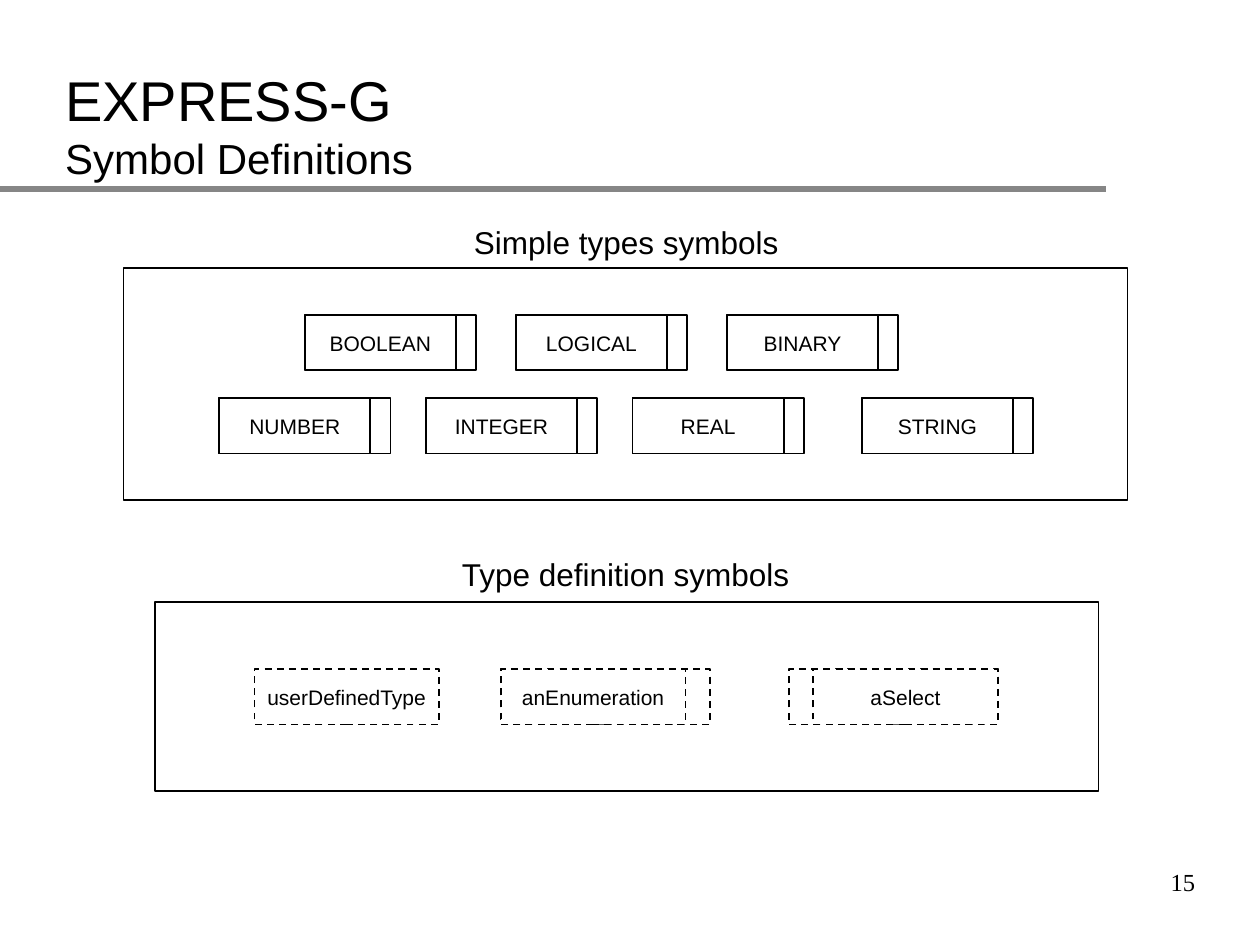
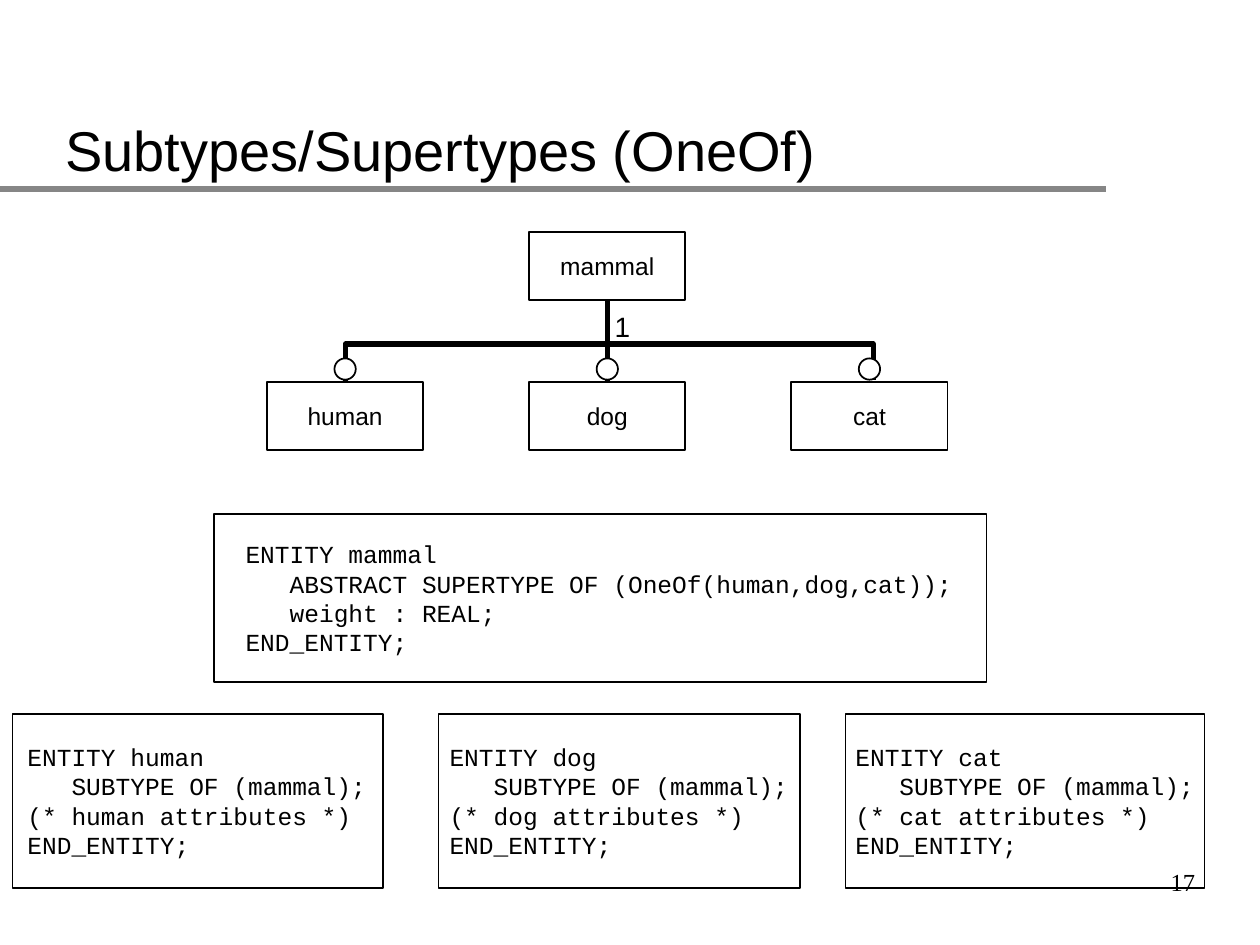
"""Builds two slides on EXPRESS-G symbols and on subtypes and supertypes."""
from dataclasses import dataclass
from typing import NamedTuple, Optional

from lxml import etree
from pptx import Presentation
from pptx.dml.color import RGBColor
from pptx.enum.dml import MSO_LINE
from pptx.enum.shapes import MSO_CONNECTOR, MSO_SHAPE
from pptx.enum.text import MSO_ANCHOR, PP_ALIGN
from pptx.oxml.ns import qn
from pptx.shapes.autoshape import Shape
from pptx.slide import Slide
from pptx.util import Pt

BLACK = RGBColor(0x00, 0x00, 0x00)
WHITE = RGBColor(0xFF, 0xFF, 0xFF)
GREY = RGBColor(0x86, 0x86, 0x86)

SANS = "Arial"
CODE = "Courier New"
SERIF = "Times New Roman"

LEFT, CENTER, RIGHT = PP_ALIGN.LEFT, PP_ALIGN.CENTER, PP_ALIGN.RIGHT
TOP, MIDDLE, BOTTOM = MSO_ANCHOR.TOP, MSO_ANCHOR.MIDDLE, MSO_ANCHOR.BOTTOM
RECT, OVAL = MSO_SHAPE.RECTANGLE, MSO_SHAPE.OVAL
STRAIGHT = MSO_CONNECTOR.STRAIGHT
DASH = MSO_LINE.DASH
BLANK = 6

SYMBOL_H = 31.7
ENTITY_W, ENTITY_H = 89.3, 38.9
CIRCLE = 12.2


class Box(NamedTuple):
    """Left, top, width and height in points."""
    left: float
    top: float
    width: float
    height: float


@dataclass
class Style:
    """Font, size and placing of a text."""
    size: float
    font: str = SANS
    align: PP_ALIGN = LEFT
    anchor: MSO_ANCHOR = TOP
    wrap: bool = False


@dataclass
class Symbol:
    """An EXPRESS-G symbol: a named box with an optional strip beside it."""
    name: str
    left: float
    top: float
    width: float = 86.4
    strip: float = 11.5
    strip_first: bool = False
    dash: Optional[MSO_LINE] = None


@dataclass
class Listing:
    """A framed piece of code."""
    frame: Box
    text: Box
    code: str


TITLE = Style(32, anchor=BOTTOM, wrap=True)
CAPTION = Style(18, align=CENTER)
SYMBOL_NAME = Style(12, align=CENTER, anchor=MIDDLE)
ENTITY_NAME = Style(14, align=CENTER, anchor=MIDDLE)
MARK = Style(16)
CODE_TEXT = Style(14, font=CODE)
PAGE_NUMBER = Style(14, font=SERIF, align=RIGHT, anchor=MIDDLE, wrap=True)

SIMPLE_TYPES = [
    *(Symbol(name, 174.2 + 120.6 * i, 180)
      for i, name in enumerate(("BOOLEAN", "LOGICAL", "BINARY"))),
    *(Symbol(name, 125.3 + 118.1 * i, 227.5)
      for i, name in enumerate(("NUMBER", "INTEGER", "REAL"))),
    Symbol("STRING", 492.5, 227.5),
]
TYPE_DEFINITIONS = [
    Symbol("userDefinedType", 145.4, 382.3, 105.5, 0, dash=DASH),
    Symbol("anEnumeration", 286.2, 382.3, 105.5, 14, dash=DASH),
    Symbol("aSelect", 450.7, 382.3, 105.5, 14, strip_first=True, dash=DASH),
]

SUPERTYPE_CODE = """ENTITY mammal
   ABSTRACT SUPERTYPE OF (OneOf(human,dog,cat));
   weight : REAL;
END_ENTITY;"""
SUBTYPE_CODE = """ENTITY {0}
   SUBTYPE OF (mammal);
(* {0} attributes *)
END_ENTITY;"""
SUBTYPES = ("human", "dog", "cat")
SUBTYPE_FRAMES = ((7.2, 211.7), (250.6, 206.6), (483.1, 205.2))
SUBTYPE_TEXT_LEFTS = (8.6, 249.8, 481.7)

LISTINGS = [
    Listing(Box(122.4, 293.8, 441.4, 95.8), Box(133.2, 304.6, 419, 74.9), SUPERTYPE_CODE),
    *(Listing(Box(left, 408.2, width, 99.4), Box(text_left, 420.5, 208.1, 74.9),
              SUBTYPE_CODE.format(name))
      for name, (left, width), text_left in zip(SUBTYPES, SUBTYPE_FRAMES, SUBTYPE_TEXT_LEFTS)),
]


def write(s: Shape, text: str, style: Style) -> None:
    """Put styled text into a shape, one paragraph a line."""
    tf = s.text_frame
    tf.text = text
    tf.word_wrap = style.wrap
    tf.vertical_anchor = style.anchor
    for p in tf.paragraphs:
        p.alignment = style.align
        for r in p.runs:
            r.font.name = style.font
            r.font.size = Pt(style.size)
            r.font.color.rgb = BLACK


def add_text(s: Slide, box: Box, text: str, style: Style) -> Shape:
    """Add a text box."""
    sp = s.shapes.add_textbox(*map(Pt, box))
    write(sp, text, style)
    return sp


def add_outlined(s: Slide, box: Box, kind: MSO_SHAPE = RECT,
                 dash: Optional[MSO_LINE] = None) -> Shape:
    """Add a white shape with a thin black outline."""
    sp = s.shapes.add_shape(kind, *map(Pt, box))
    sp.shadow.inherit = False
    sp.fill.solid()
    sp.fill.fore_color.rgb = WHITE
    sp.line.color.rgb = BLACK
    sp.line.width = Pt(1)
    if dash is not None:
        sp.line.dash_style = dash
    return sp


def add_line(s: Slide, x1: float, y1: float, x2: float, y2: float,
             color: RGBColor, width: float) -> None:
    """Add a straight line."""
    line = s.shapes.add_connector(STRAIGHT, Pt(x1), Pt(y1), Pt(x2), Pt(y2))
    line.line.color.rgb = color
    line.line.width = Pt(width)
    etree.SubElement(line._element.spPr, qn("a:effectLst"))


def add_symbol(s: Slide, symbol: Symbol) -> None:
    """Add a symbol with its strip to the right or left of its name."""
    if symbol.strip:
        full = Box(symbol.left, symbol.top, symbol.width + symbol.strip, SYMBOL_H)
        add_outlined(s, full, dash=symbol.dash)
    left = symbol.left + (symbol.strip if symbol.strip_first else 0)
    sp = add_outlined(s, Box(left, symbol.top, symbol.width, SYMBOL_H), dash=symbol.dash)
    write(sp, symbol.name, SYMBOL_NAME)


def add_panel(s: Slide, panel: Box, caption: Box, title: str, symbols: list[Symbol]) -> None:
    """Add a captioned panel of symbols."""
    add_outlined(s, panel)
    add_text(s, caption, title, CAPTION)
    for symbol in symbols:
        add_symbol(s, symbol)


def add_entity(s: Slide, name: str, left: float, top: float) -> None:
    """Add an entity box."""
    write(add_outlined(s, Box(left, top, ENTITY_W, ENTITY_H)), name, ENTITY_NAME)


def add_base(prs: Presentation, title: str, number: int) -> tuple[Slide, Shape]:
    """Add a slide with its rule, title and number."""
    s = prs.slides.add_slide(prs.slide_layouts[BLANK])
    add_line(s, 0, 108, 632.2, 108, GREY, 4)
    heading = add_text(s, Box(30.2, 20.9, 612, 87.1), title, TITLE)
    return s, heading


def add_number(s: Slide, number: int) -> None:
    """Add the slide number in the lower right corner."""
    add_text(s, Box(540, 486, 150, 36), str(number), PAGE_NUMBER)


def build_symbols(prs: Presentation) -> None:
    """Build the slide of symbol definitions."""
    s, heading = add_base(prs, "EXPRESS-G\vSymbol Definitions", 15)
    heading.text_frame.paragraphs[0].runs[1].font.size = Pt(24)
    add_panel(s, Box(70.6, 153.2, 573.8, 132.5), Box(263.5, 123.8, 188.6, 28.8),
              "Simple types symbols", SIMPLE_TYPES)
    add_panel(s, Box(88.4, 344.2, 539.3, 108), Box(256.3, 313.4, 202.3, 28.8),
              "Type definition symbols", TYPE_DEFINITIONS)
    add_number(s, 15)


def build_subtypes(prs: Presentation) -> None:
    """Build the slide of subtypes and supertypes."""
    s, _ = add_base(prs, "Subtypes/Supertypes (OneOf)", 17)
    for listing in LISTINGS:
        add_outlined(s, listing.frame)

    fork = s.shapes.build_freeform(Pt(197.3), Pt(218.9))
    fork.add_line_segments([(Pt(197.3), Pt(196.6)), (Pt(499), Pt(196.6)),
                            (Pt(499), Pt(217.4))], close=False)
    sp = fork.convert_to_shape()
    sp.shadow.inherit = False
    sp.fill.background()
    sp.line.color.rgb = BLACK
    sp.line.width = Pt(3)
    add_line(s, 347, 164.9, 347, 231.1, BLACK, 3)

    add_entity(s, "mammal", 302.4, 132.5)
    for i, name in enumerate(SUBTYPES):
        left = 152.6 + 149.8 * i
        add_entity(s, name, left, 218.2)
        add_outlined(s, Box(left + (ENTITY_W - CIRCLE) / 2, 204.8, CIRCLE, CIRCLE), OVAL)
    add_text(s, Box(344.2, 173.5, 23.8, 26.6), "1", MARK)
    for listing in LISTINGS:
        add_text(s, listing.text, listing.code, CODE_TEXT)
    add_number(s, 17)


def main() -> None:
    """Build and save the presentation."""
    prs = Presentation()
    prs.slide_width, prs.slide_height = Pt(720), Pt(540)
    build_symbols(prs)
    build_subtypes(prs)
    prs.save("out.pptx")


if __name__ == "__main__":
    main()
